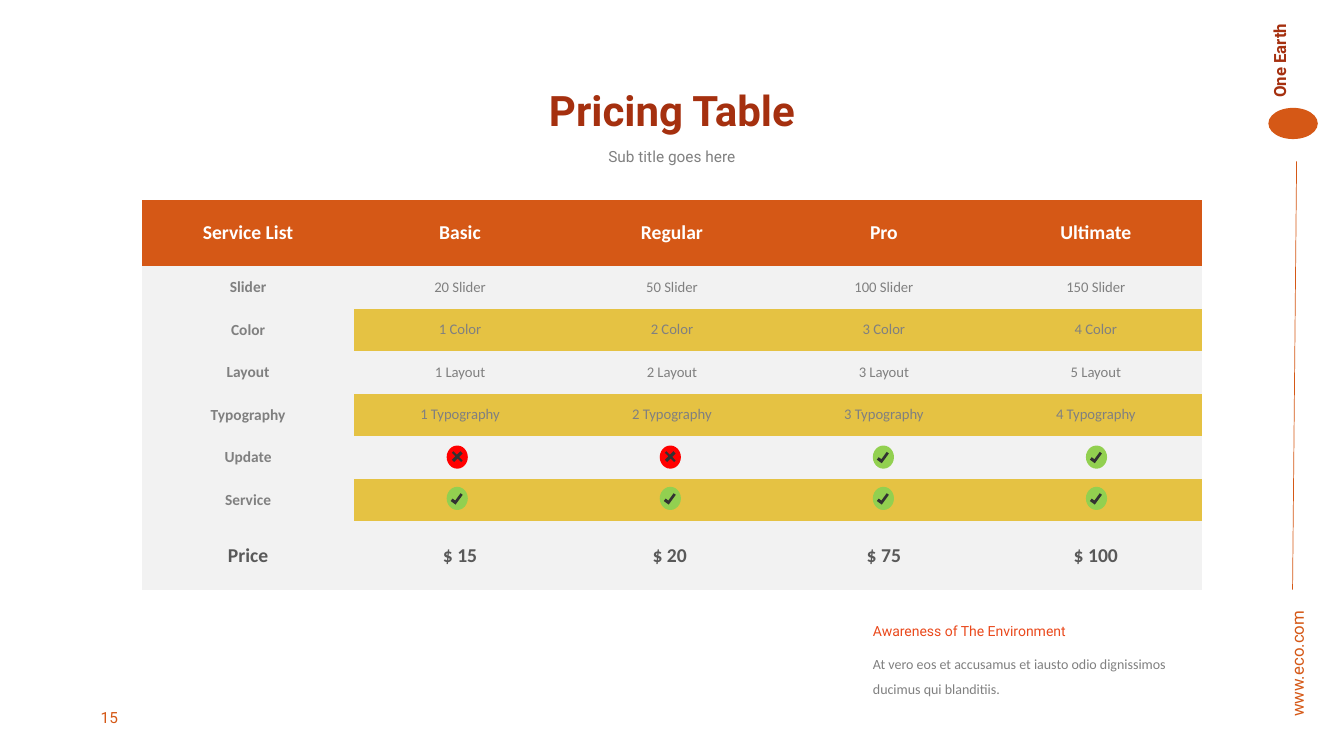
from lxml import etree
from pptx import Presentation
from pptx import util as u
from pptx.dml import color
from pptx.enum import shapes, text
from pptx.oxml import ns

RUST, BRICK, GOLD, PALE, GREY = "D55816", "A5300F", "E5C243", "F2F2F2", "808080"
MID = text.MSO_ANCHOR.MIDDLE
CENTER = text.PP_ALIGN.CENTER
KIND = shapes.MSO_SHAPE

HEAD = ["Service List", "Basic", "Regular", "Pro", "Ultimate"]
BODY = [
    ["Slider", "20 Slider", "50 Slider", "100 Slider", "150 Slider"],
    ["Color", "1 Color", "2 Color", "3 Color", "4 Color"],
    ["Layout", "1 Layout", "2 Layout", "3 Layout", "5 Layout"],
    ["Typography", "1 Typography", "2 Typography", "3 Typography", "4 Typography"],
    ["Update", "", "", "", ""],
    ["Service", "", "", "", ""],
]
PRICE = ["Price", "$ 15", "$ 20 ", "$ 75", "$ 100"]
MARKS = [[False, False, True, True], [True, True, True, True]]
PLAIN_STYLE = "{2D5ABB26-0587-4C30-8999-92F81FD0307C}"


def rgb(code):
    return color.RGBColor.from_string(code)


def inches(*box):
    return [u.Inches(n) for n in box]


def write(frame, words, tint, para=None, **font):
    """Put one paragraph in a frame; para and font hold format values."""
    line = frame.paragraphs[0]
    run = line.add_run()
    run.text = words
    for key, val in (para or {}).items():
        setattr(line, key, val)
    for key, val in font.items():
        setattr(run.font, key, val)
    run.font.color.rgb = rgb(tint)


def label(slide, box, words, tint, turn=0, anchor=text.MSO_ANCHOR.TOP, para=None, **font):
    item = slide.shapes.add_textbox(*inches(*box))
    item.rotation = turn
    frame = item.text_frame
    frame.word_wrap = True
    frame.vertical_anchor = anchor
    write(frame, words, tint, para, **font)


def solid(parent, kind, box, tint, turn=0, adjust=()):
    item = parent.shapes.add_shape(kind, *inches(*box))
    item.shadow.inherit = False
    item.fill.solid()
    item.fill.fore_color.rgb = rgb(tint)
    item.line.fill.background()
    item.rotation = turn
    for i, val in enumerate(adjust):
        item.adjustments[i] = val


def mark(slide, x, y, good):
    """Round badge with a tick or a cross."""
    group = slide.shapes.add_group_shape()
    solid(group, KIND.OVAL, (x, y, 0.21, 0.23), "92D050" if good else "FF0000")
    if good:
        solid(group, KIND.CORNER, (x + 0.04, y + 0.08, 0.12, 0.06),
              "323232", 306.1, (0.44, 0.51))
    else:
        solid(group, KIND.CROSS, (x + 0.04, y + 0.05, 0.13, 0.12),
              "323232", 45, (0.41,))


def side(slide, x, y):
    """Vertical brand strip at the right edge."""
    label(slide, (x - 0.29, y + 0.32, 1, 0.5), "One Earth", BRICK, 270,
          name="Roboto", size=u.Pt(12), bold=True)
    solid(slide, KIND.OVAL, (x, y + 1.07, 0.49, 0.31), RUST)
    rule = slide.shapes.add_connector(
        shapes.MSO_CONNECTOR.STRAIGHT,
        *inches(x + 0.28, y + 1.6, x + 0.24, y + 5.85))
    rule.line.color.rgb = rgb(RUST)
    rule.line.width = u.Pt(0.5)
    etree.SubElement(rule._element.spPr, ns.qn("a:effectLst"))
    label(slide, (x - 0.65, y + 6.17, 1.77, 0.31), "www.eco.com", RUST, 270, MID,
          {"line_spacing": 1.5}, name="Roboto", size=u.Pt(12))


def heading(slide, x, y, w, h):
    title = slide.shapes.title
    spot = dict(zip(("left", "top", "width", "height"), inches(x, y, w, h)))
    for key, val in spot.items():
        setattr(title, key, val)
    title.text_frame.vertical_anchor = MID
    write(title.text_frame, "Pricing Table", BRICK,
          {"alignment": CENTER, "line_spacing": 0.9},
          name="Roboto", size=u.Pt(30), bold=True)
    label(slide, (x + w / 2 - 1.47, y + 0.92, 2.94, 0.35), "Sub title goes here", GREY,
          para={"alignment": CENTER, "line_spacing": 1.5}, name="Roboto", size=u.Pt(11))


def look(row, col):
    """Fill, text colour, size and weight of a cell."""
    if row == 0:
        return RUST, "FFFFFF", 14, True
    if row > len(BODY):
        return PALE, "595959", 14, True
    if col == 0:
        return PALE, GREY, 11, True
    return (PALE if row % 2 else GOLD), GREY, 10.5, False


def prices(slide, x, y, w, h):
    rows = [HEAD, *BODY, PRICE]
    top, foot = 0.66, 0.68
    step = (h - top - foot) / len(BODY)
    grid = slide.shapes.add_table(len(rows), len(HEAD), *inches(x, y, w, h)).table
    grid.first_row = grid.horz_banding = False
    grid._tbl.tblPr.find(ns.qn("a:tableStyleId")).text = PLAIN_STYLE
    for col in grid.columns:
        col.width = u.Inches(w / len(HEAD))
    for r, high in enumerate([top] + [step] * len(BODY) + [foot]):
        grid.rows[r].height = u.Inches(high)
        for c, words in enumerate(rows[r]):
            cell = grid.cell(r, c)
            back, tint, size, bold = look(r, c)
            cell.fill.solid()
            cell.fill.fore_color.rgb = rgb(back)
            cell.vertical_anchor = MID
            if words:
                write(cell.text_frame, words, tint, {"alignment": CENTER},
                      name="Calibri", size=u.Pt(size), bold=bold)
    for r, line in enumerate(MARKS):
        for c, good in enumerate(line):
            mark(slide, x + 3.02 + c * 6.34 / 3, y + 2.44 + r * 0.41, good)


def note(slide, x, y, w):
    label(slide, (x, y, w, 0.27), "Awareness of The Environment", "EA491C",
          name="Roboto", size=u.Pt(10))
    label(slide, (x, y + 0.24, w, 0.57),
          "At vero eos et accusamus et iausto odio dignissimos ducimus qui blanditiis.",
          GREY, para={"line_spacing": 1.5}, name="Calibri", size=u.Pt(10))


def main():
    deck = Presentation()
    deck.slide_width, deck.slide_height = inches(13.33, 7.5)
    slide = deck.slides.add_slide(deck.slide_layouts[5])
    side(slide, 12.58, 0)
    heading(slide, 0.96, 0.4, 11.41, 1.45)
    prices(slide, 1.41, 1.98, 10.51, 3.87)
    note(slide, 8.56, 6.13, 3.36)
    label(slide, (0.9, 6.92, 2.14, 0.4), "15", RUST, anchor=MID,
          name="Roboto", size=u.Pt(11))
    deck.save("out.pptx")


if __name__ == "__main__":
    main()
